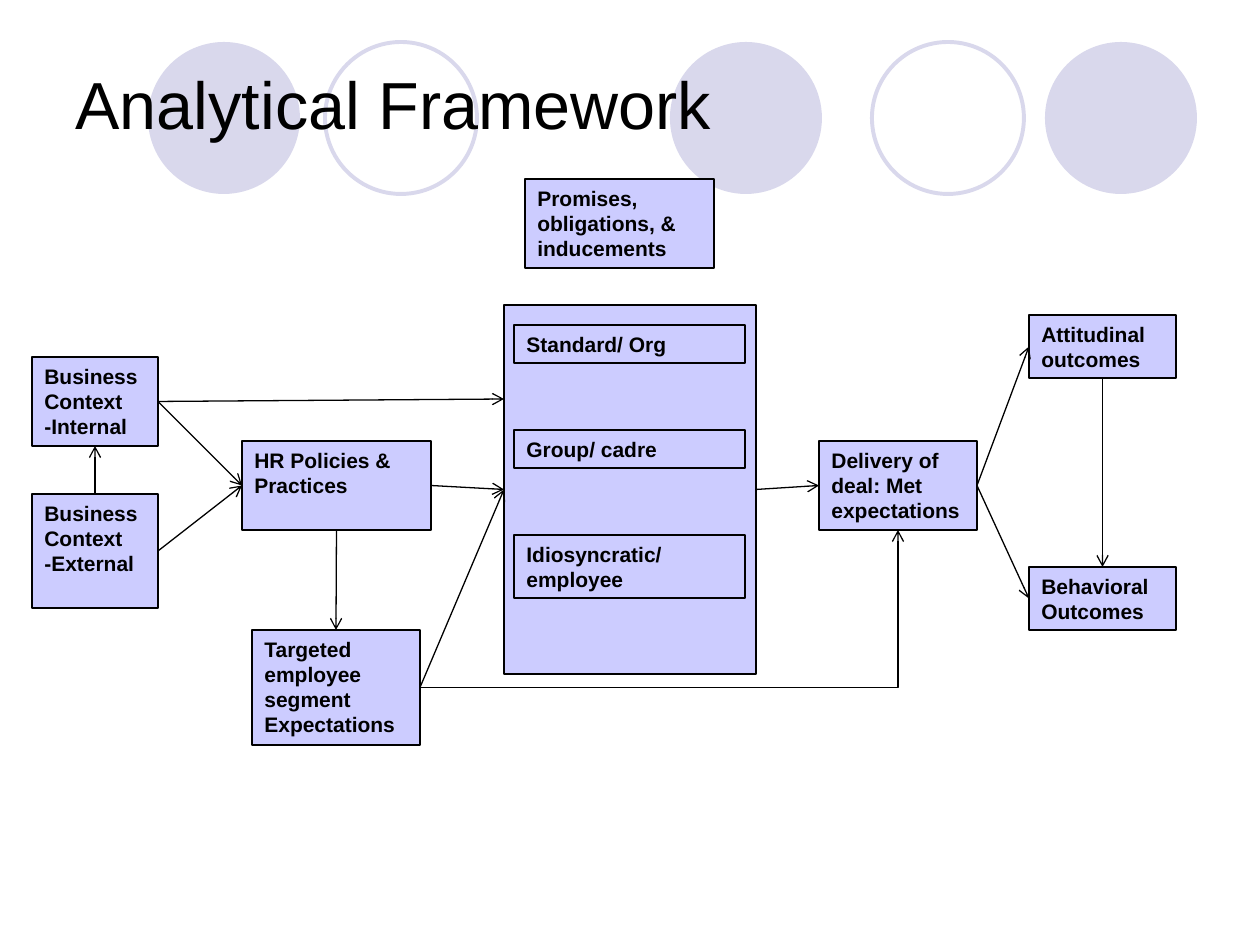
from lxml.etree import SubElement
from pptx import Presentation
from pptx.dml.color import RGBColor
from pptx.enum.shapes import MSO_CONNECTOR as LINK, MSO_SHAPE as SHAPE
from pptx.enum.text import MSO_ANCHOR as ANCHOR, PP_ALIGN as ALIGN
from pptx.oxml.ns import qn
from pptx.util import Emu, Pt

COLORS = {"text": "000000", "line": "000000", "box": "CCCCFF", "circle": "D9D8EC"}
EMU_PER_PX = 914400 / 126
TOP, LEFT, BOTTOM, RIGHT = range(4)  # connection sites of a rectangle

CIRCLE_TOP, CIRCLE_SIZE = 42, 152
CIRCLES = [(670, True), (1045, True), (148, True), (872, False), (325, False)]

BOXES = {
    "external": ((32, 494, 126, 114), ["Business Context", "-External"]),
    "internal": ((32, 357, 126, 89), ["Business Context", "-Internal"]),
    "policies": ((242, 441, 189, 89), ["HR Policies & Practices"]),
    "promises": ((525, 179, 189, 89), ["Promises, obligations, & inducements"]),
    "delivery": ((819, 441, 158, 89), ["Delivery of deal: Met expectations"]),
    "targeted": ((252, 630, 168, 115), ["Targeted employee segment", "Expectations"]),
    "attitudinal": ((1029, 315, 147, 63), ["Attitudinal outcomes"]),
    "behavioral": ((1029, 567, 147, 63), ["Behavioral Outcomes"]),
}
PANEL = (504, 305, 252, 369)
DEAL_LEVELS = [
    (38, ["Standard/ Org"]),
    (38, ["Group/ cadre"]),
    (63, ["Idiosyncratic/", "employee"]),
]
LEVEL_LEFT, LEVEL_TOP, LEVEL_WIDTH, LEVEL_STEP = 514, 325, 231, 105

ARROWS = [
    ("targeted", RIGHT, "panel", LEFT),
    ("policies", RIGHT, "panel", LEFT),
    ("external", RIGHT, "policies", LEFT),
    ("policies", BOTTOM, "targeted", TOP),
    ("internal", RIGHT, "policies", LEFT),
    ("external", TOP, "internal", BOTTOM),
    ("panel", RIGHT, "delivery", LEFT),
    ("delivery", RIGHT, "attitudinal", LEFT),
    ("delivery", RIGHT, "behavioral", LEFT),
    ("attitudinal", BOTTOM, "behavioral", TOP),
]
PANEL_ENTRY = (504, 399)


def px(n):
    return Emu(round(n * EMU_PER_PX))


def rgb(name):
    return RGBColor.from_string(COLORS[name])


def write(sp, paragraphs, size=12, bold=False, color="text", font="Arial", anchor=ANCHOR.TOP):
    tf = sp.text_frame
    tf.word_wrap = True
    tf.vertical_anchor = anchor
    for i, text in enumerate(paragraphs):
        p = tf.add_paragraph() if i else tf.paragraphs[0]
        p.alignment = ALIGN.LEFT
        r = p.add_run()
        r.text = text
        r.font.name, r.font.size, r.font.bold = font, Pt(size), bold
        r.font.color.rgb = rgb(color)


def add_shape(s, kind, at, fill=None, line=None, weight=0.75):
    sp = s.shapes.add_shape(kind, *map(px, at))
    sp.shadow.inherit = False
    if fill:
        sp.fill.solid()
        sp.fill.fore_color.rgb = rgb(fill)
    else:
        sp.fill.background()
    if line:
        sp.line.color.rgb = rgb(line)
        sp.line.width = Pt(weight)
    else:
        sp.line.fill.background()
    return sp


def add_box(s, at, paragraphs=()):
    sp = add_shape(s, SHAPE.RECTANGLE, at, fill="box", line="line")
    write(sp, paragraphs, bold=True)
    return sp


def add_circles(s):
    for left, filled in CIRCLES:
        at = (left, CIRCLE_TOP, CIRCLE_SIZE, CIRCLE_SIZE)
        add_shape(s, SHAPE.OVAL, at, fill="circle" if filled else None,
                  line=None if filled else "circle", weight=2.25)


def add_title(s, text):
    """Fill the title placeholder and lift it above the shapes drawn so far."""
    title = s.shapes.title
    title.left, title.top, title.width, title.height = map(px, (63, 38, 1134, 130))
    write(title, [text], size=38, anchor=ANCHOR.MIDDLE)
    title.element.getparent().append(title.element)


def add_arrow(s, start, start_site, end=None, end_site=None, to=(0, 0), kind=LINK.STRAIGHT):
    """Draw an arrow from a box to a site of another box, or to a free point."""
    arrow = s.shapes.add_connector(kind, 0, 0, *map(px, to))
    arrow.begin_connect(start, start_site)
    if end is not None:
        arrow.end_connect(end, end_site)
    arrow.line.color.rgb = rgb("line")
    arrow.line.width = Pt(0.75)
    sp_pr = arrow.element.spPr
    SubElement(sp_pr.find(qn("a:ln")), qn("a:tailEnd"), type="arrow")
    SubElement(sp_pr, qn("a:effectLst"))
    return arrow


def main():
    prs = Presentation()
    prs.slide_width, prs.slide_height = px(1260), px(945)
    s = prs.slides.add_slide(prs.slide_layouts[5])

    add_circles(s)
    boxes = {"panel": add_box(s, PANEL)}
    add_title(s, "Analytical Framework")
    for name, (at, paragraphs) in BOXES.items():
        boxes[name] = add_box(s, at, paragraphs)
    for i, (height, paragraphs) in enumerate(DEAL_LEVELS):
        add_box(s, (LEVEL_LEFT, LEVEL_TOP + i * LEVEL_STEP, LEVEL_WIDTH, height), paragraphs)

    for start, start_site, end, end_site in ARROWS:
        add_arrow(s, boxes[start], start_site, boxes[end], end_site)
    add_arrow(s, boxes["internal"], RIGHT, to=PANEL_ENTRY)
    elbow = add_arrow(s, boxes["targeted"], RIGHT, boxes["delivery"], BOTTOM, kind=LINK.ELBOW)
    elbow.element.spPr.find(qn("a:prstGeom")).set("prst", "bentConnector2")

    prs.save("out.pptx")


if __name__ == "__main__":
    main()
